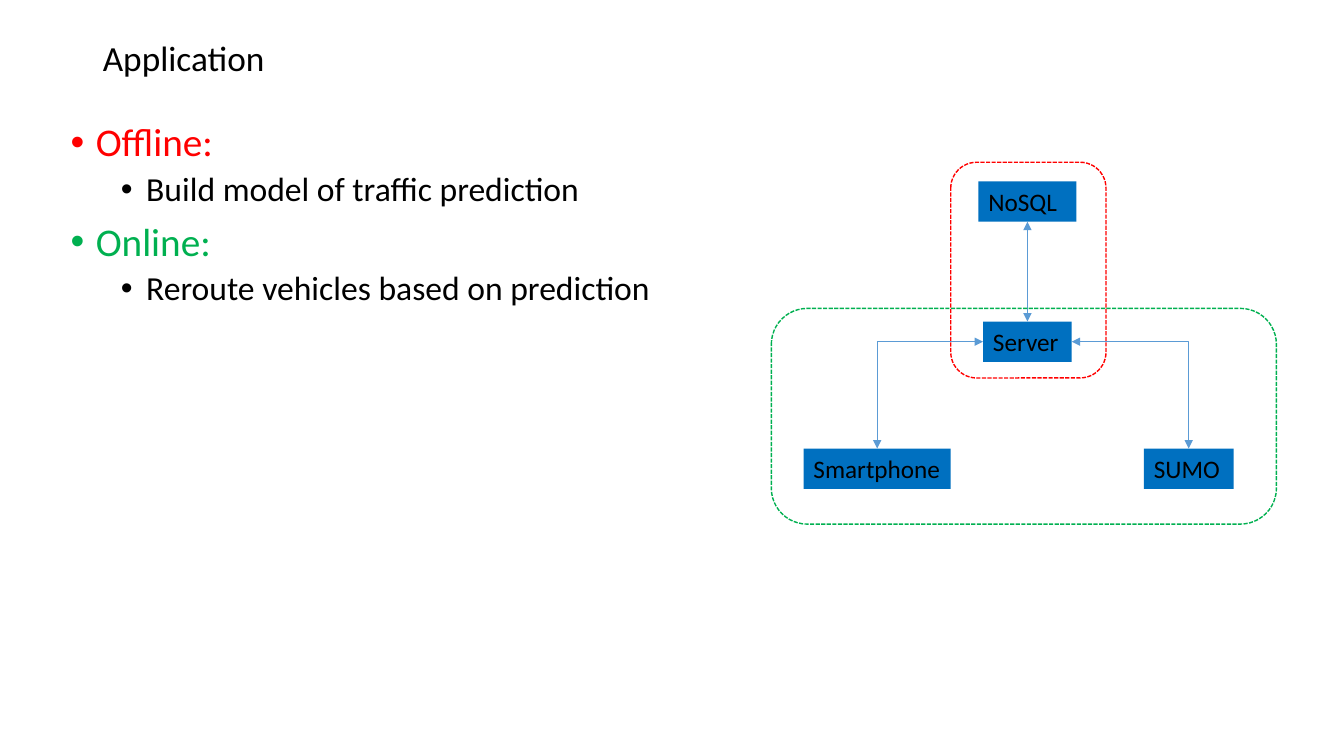
from pptx import Presentation
from pptx import util as u
from pptx.dml.color import RGBColor
from pptx.enum import dml, shapes, text
from pptx.oxml.ns import qn
from lxml import etree

BLACK = RGBColor(0x00, 0x00, 0x00)
RED = RGBColor(0xFF, 0x00, 0x00)
GREEN = RGBColor(0x00, 0xB0, 0x50)
BOX_BLUE = RGBColor(0x00, 0x70, 0xC0)
LINE_BLUE = RGBColor(0x5B, 0x9B, 0xD5)


class Deck:
    """Holds the style and the current slide, with a method per kind of element."""

    font = "Calibri"
    inset = {"margin_left": u.Inches(0.1), "margin_right": 0,
             "margin_top": u.Inches(0.05), "margin_bottom": u.Inches(0.05)}

    def __init__(self, prs):
        self.s = prs.slides.add_slide(prs.slide_layouts[1])

    def apply(self, target, **formats):
        for name, value in formats.items():
            setattr(target, name, value)

    def place(self, sp, left, top, width, height):
        self.apply(sp, left=u.Inches(left), top=u.Inches(top),
                   width=u.Inches(width), height=u.Inches(height))

    def add_text(self, p, words, size, color, **formats):
        self.apply(p, alignment=text.PP_ALIGN.LEFT, **formats)
        r = p.add_run()
        r.text = words
        self.apply(r.font, name=self.font, size=u.Pt(size))
        r.font.color.rgb = color

    def title(self, words, *area):
        sp = self.s.shapes.title
        self.place(sp, *area)
        tf = sp.text_frame
        self.apply(tf, auto_size=text.MSO_AUTO_SIZE.NONE,
                   vertical_anchor=text.MSO_ANCHOR.MIDDLE)
        self.add_text(tf.paragraphs[0], words, 25.2, BLACK, line_spacing=0.9)

    def bullets(self, items, *area):
        sp = self.s.placeholders[1]
        self.place(sp, *area)
        tf = sp.text_frame
        tf.auto_size = text.MSO_AUTO_SIZE.NONE
        for i, (level, words, color) in enumerate(items):
            p = tf.add_paragraph() if i else tf.paragraphs[0]
            self.add_text(p, words, 28 - 4 * level, color, level=level,
                          line_spacing=0.9, space_before=u.Pt(10 - 5 * level))
            pPr = p._p.get_or_add_pPr()
            pPr.set("marL", str(u.Inches(0.25 + 0.5 * level)))
            pPr.set("indent", str(u.Inches(-0.25)))
            etree.SubElement(pPr, qn("a:buFont")).set("typeface", "Arial")
            etree.SubElement(pPr, qn("a:buChar")).set("char", "•")

    def shape(self, kind, *area):
        sp = self.s.shapes.add_shape(kind, *map(u.Inches, area))
        sp.shadow.inherit = False
        return sp

    def box(self, words, center, top, width):
        sp = self.shape(shapes.MSO_SHAPE.RECTANGLE,
                        center - width / 2, top, width, 0.4)
        sp.fill.solid()
        sp.fill.fore_color.rgb = BOX_BLUE
        sp.line.fill.background()
        tf = sp.text_frame
        self.apply(tf, word_wrap=True, vertical_anchor=text.MSO_ANCHOR.TOP, **self.inset)
        self.add_text(tf.paragraphs[0], words, 18, BLACK)
        return sp

    def group_frame(self, color, *area):
        sp = self.shape(shapes.MSO_SHAPE.ROUNDED_RECTANGLE, *area)
        sp.fill.background()
        sp.line.color.rgb = color
        self.apply(sp.line, width=u.Pt(1), dash_style=dml.MSO_LINE.SQUARE_DOT)

    def link(self, kind, start, start_site, end, end_site):
        cx = self.s.shapes.add_connector(kind, 0, 0, 0, 0)
        cx.begin_connect(start, start_site)
        cx.end_connect(end, end_site)
        cx.line.color.rgb = LINE_BLUE
        cx.line.width = u.Pt(0.5)
        spPr = cx._element.spPr
        if kind == shapes.MSO_CONNECTOR.ELBOW:
            spPr.find(qn("a:prstGeom")).set("prst", "bentConnector2")
        for tag in ("a:headEnd", "a:tailEnd"):
            etree.SubElement(spPr.find(qn("a:ln")), qn(tag)).set("type", "triangle")
        etree.SubElement(spPr, qn("a:effectLst"))


TOP, LEFT, BOTTOM, RIGHT = range(4)
STRAIGHT, ELBOW = shapes.MSO_CONNECTOR.STRAIGHT, shapes.MSO_CONNECTOR.ELBOW

prs = Presentation()
prs.slide_width, prs.slide_height = u.Inches(13.33), u.Inches(7.5)
deck = Deck(prs)

deck.title("Application", 0.92, 0.4, 11.5, 0.4)
deck.bullets([
    (0, "Offline:", RED),
    (1, "Build model of traffic prediction", BLACK),
    (0, "Online:", GREEN),
    (1, "Reroute vehicles based on prediction", BLACK),
], 0.6, 1.17, 7.06, 5.63)

server = deck.box("Server", 10.19, 3.19, 0.88)
nosql = deck.box("NoSQL", 10.19, 1.8, 0.97)
smartphone = deck.box("Smartphone", 8.7, 4.45, 1.46)
sumo = deck.box("SUMO", 11.79, 4.45, 0.89)

deck.link(ELBOW, server, LEFT, smartphone, TOP)
deck.link(ELBOW, server, RIGHT, sumo, TOP)
deck.link(STRAIGHT, server, TOP, nosql, BOTTOM)

deck.group_frame(RED, 9.43, 1.61, 1.54, 2.14)
deck.group_frame(GREEN, 7.65, 3.06, 5.01, 2.14)

prs.save("out.pptx")
